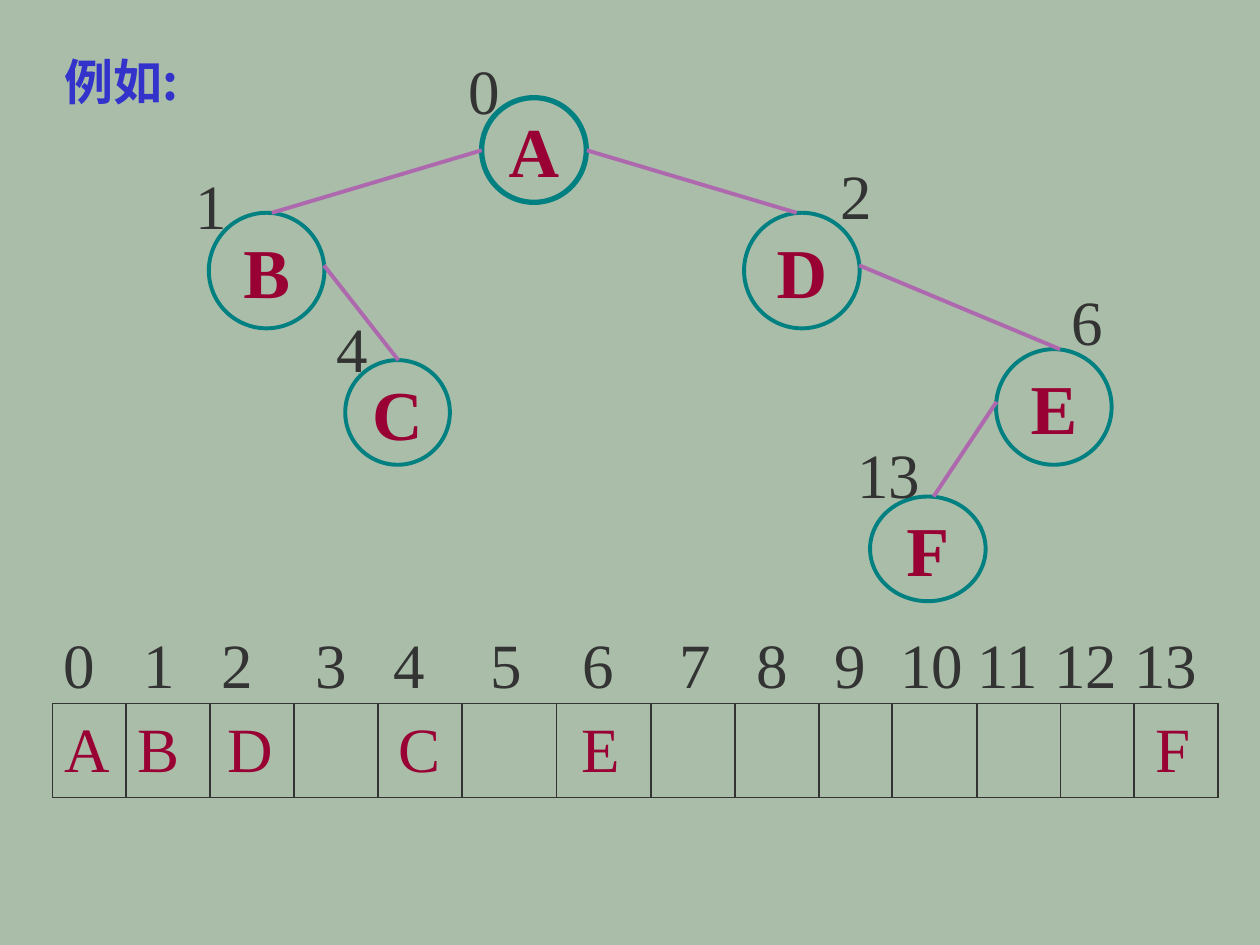
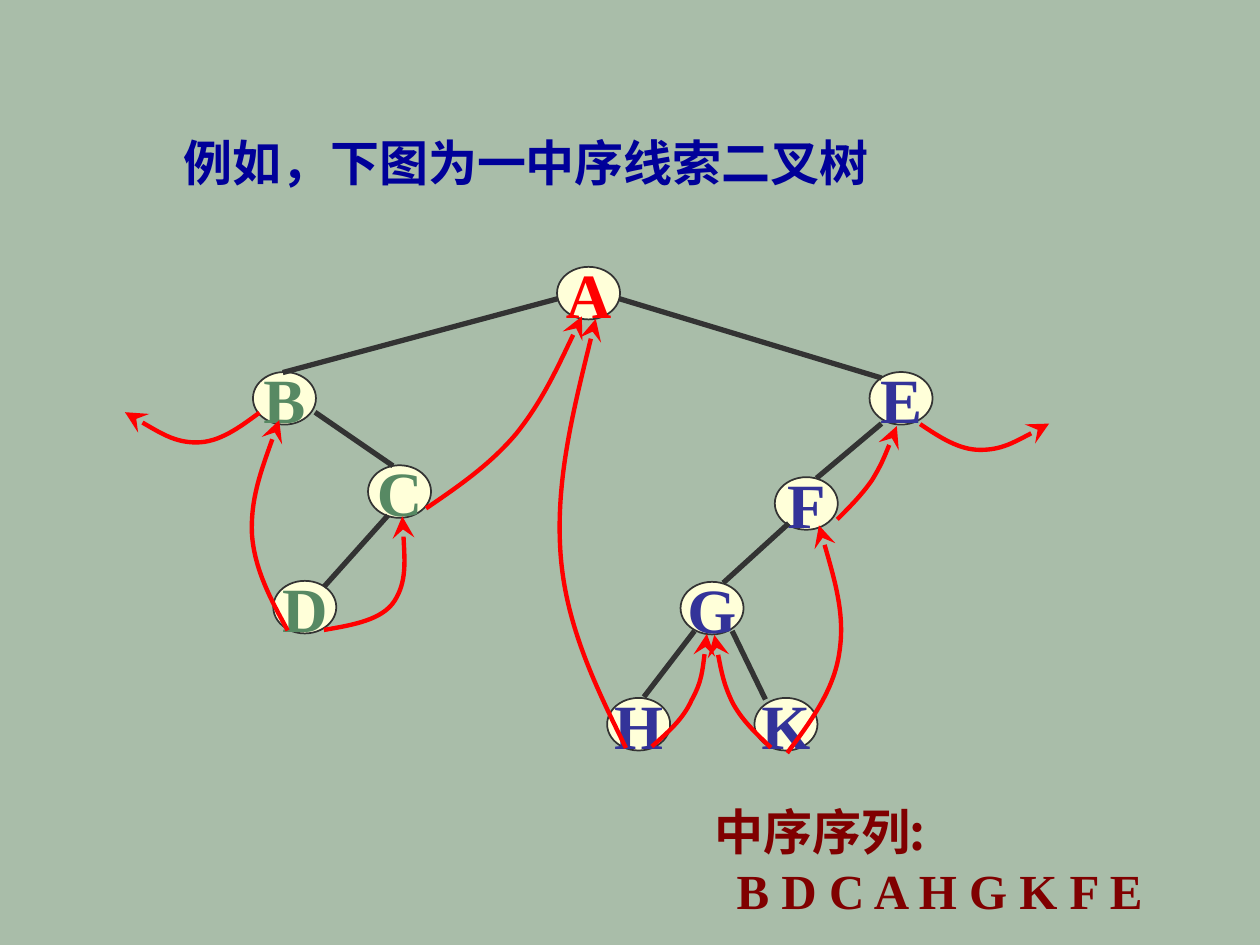
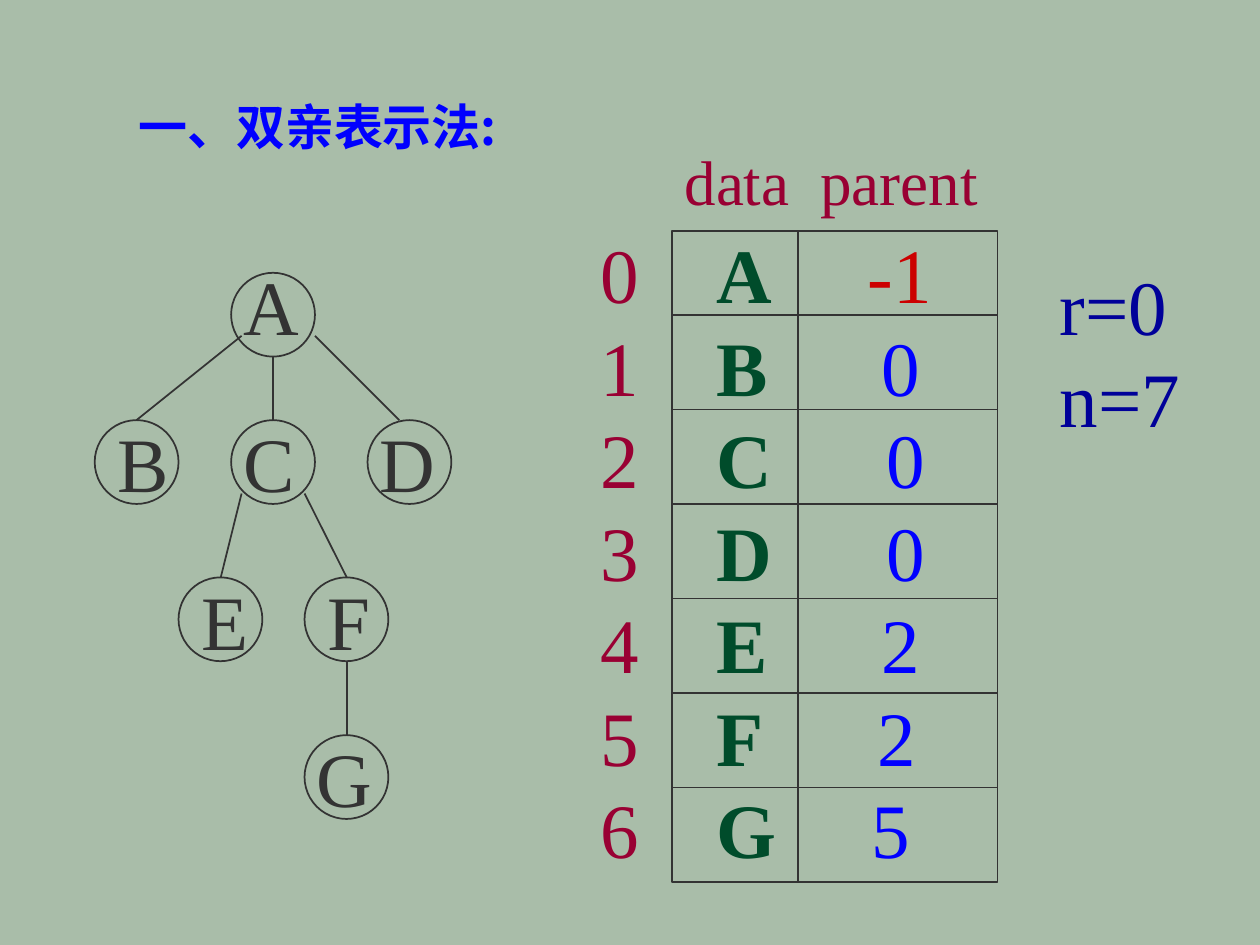
from dataclasses import dataclass
from typing import NamedTuple

import pptx
import pptx.dml.color
import pptx.enum.shapes
import pptx.enum.text
import pptx.oxml
import pptx.oxml.ns
import pptx.util

Cm = pptx.util.Cm
Pt = pptx.util.Pt
qn = pptx.oxml.ns.qn
ALIGN = pptx.enum.text.PP_ALIGN
SHAPE = pptx.enum.shapes.MSO_SHAPE

COLORS = {
    "background": "A9BDA9",
    "ink": "333333",
    "title": "3333CC",
    "navy": "000099",
    "blue": "0000FF",
    "crimson": "990033",
    "maroon": "800000",
    "teal": "008080",
    "mauve": "AE68AE",
    "cream": "FFFFD9",
    "red": "FF0000",
    "dark_red": "CC0000",
    "sage": "578963",
    "indigo": "333399",
    "forest": "004C2B",
}
SERIF = "Times New Roman"
CJK = "Noto Sans CJK SC"


@dataclass(frozen=True)
class Style:
    size: int
    color: str
    bold: bool = False
    font: str = SERIF


@dataclass(frozen=True)
class Look:
    """Outline and fill of a shape."""
    line: str
    width: float
    fill: str = ""


class Box(NamedTuple):
    x: float
    y: float
    w: float
    h: float


class Edge(NamedTuple):
    x1: float
    y1: float
    x2: float
    y2: float


class ArrayNode(NamedTuple):
    letter: str
    box: Box
    index: int
    label: Box
    tab: float
    width: float = 2.25


class ThreadNode(NamedTuple):
    letter: str
    x: float
    y: float
    color: str


class ParentNode(NamedTuple):
    letter: str
    x: float
    y: float
    letter_box: Box
    parent: int
    tab: float


def rgb(name: str):
    return pptx.dml.color.RGBColor.from_string(COLORS[name])


def set_line(line, color: str, width: float) -> None:
    line.color.rgb = rgb(color)
    line.width = Pt(width)


def format_run(r, style: Style) -> None:
    r.font.size = Pt(style.size)
    r.font.bold = style.bold
    r.font.color.rgb = rgb(style.color)
    r.font.name = style.font
    r.font._element.append(pptx.oxml.parse_xml(
        f'<a:ea {pptx.oxml.ns.nsdecls("a")} typeface="{CJK}"/>'))


def write(tf, text: str, style: Style, align=ALIGN.LEFT, spacing: float = 1.2) -> None:
    """Fill a text frame; spacing is the line height as a multiple of the size."""
    tf.text = text
    for p in tf.paragraphs:
        p.alignment = align
        p.line_spacing = Pt(round(style.size * spacing, 1))
        for r in p.runs:
            format_run(r, style)


def add_text(slide, box: Box, text: str, style: Style, wrap: bool = False,
             spacing: float = 1.2):
    sp = slide.shapes.add_textbox(*map(Cm, box))
    tf = sp.text_frame
    tf.word_wrap = wrap
    tf.auto_size = pptx.enum.text.MSO_AUTO_SIZE.SHAPE_TO_FIT_TEXT
    write(tf, text, style, spacing=spacing)
    return tf


def add_tabs(p, stops: list[tuple[float, str]]) -> None:
    tabs = "".join(f'<a:tab pos="{Cm(x)}" algn="{kind}"/>' for x, kind in stops)
    p._p.get_or_add_pPr().append(pptx.oxml.parse_xml(
        f'<a:tabLst {pptx.oxml.ns.nsdecls("a")}>{tabs}</a:tabLst>'))


def add_centered_row(slide, box: Box, words: list[str], centers: list[float],
                     style: Style) -> None:
    """Write one line with each word centred on its own tab stop."""
    tf = add_text(slide, box, "".join(f"\t{word}" for word in words), style, wrap=True)
    add_tabs(tf.paragraphs[0], [(center, "ctr") for center in centers])


def add_outline(slide, kind, box: Box, look: Look):
    sp = slide.shapes.add_shape(kind, *map(Cm, box))
    sp.shadow.inherit = False
    if look.fill:
        sp.fill.solid()
        sp.fill.fore_color.rgb = rgb(look.fill)
    else:
        sp.fill.background()
    set_line(sp.line, look.line, look.width)
    return sp


def add_node(slide, box: Box, letter: str, style: Style, look: Look) -> None:
    tf = add_outline(slide, SHAPE.OVAL, box, look).text_frame
    tf.word_wrap = False
    tf.vertical_anchor = pptx.enum.text.MSO_ANCHOR.MIDDLE
    write(tf, letter, style, ALIGN.CENTER)


def add_edges(slide, edges: list[Edge], color: str, width: float) -> None:
    for edge in edges:
        line = slide.shapes.add_connector(
            pptx.enum.shapes.MSO_CONNECTOR.STRAIGHT, *map(Cm, edge))
        set_line(line.line, color, width)
        line._element.spPr.append(pptx.oxml.parse_xml(
            f'<a:effectLst {pptx.oxml.ns.nsdecls("a")}/>'))


def add_rules(slide, box: Box, xs: list[float], ys: list[float]) -> None:
    """Draw vertical rules at xs and horizontal rules at ys across the box."""
    rules = [Edge(box.x, y, box.x + box.w, y) for y in ys]
    rules += [Edge(x, box.y, x, box.y + box.h) for x in xs]
    add_edges(slide, rules, "ink", 1)


def add_thread(slide, points: list[tuple[float, float]]) -> None:
    """Draw a curved arrow through start, control, middle, control and end."""
    start, bend_in, middle, bend_out, end = points

    def halfway(a, b):
        return (a[0] + b[0]) / 2, (a[1] + b[1]) / 2

    curve_points = [halfway(start, bend_in), bend_in, middle,
                    bend_out, halfway(bend_out, end), end]
    builder = slide.shapes.build_freeform(Cm(start[0]), Cm(start[1]))
    builder.add_line_segments([(Cm(x), Cm(y)) for x, y in curve_points], close=False)
    sp = builder.convert_to_shape()
    sp.shadow.inherit = False
    sp.fill.background()
    set_line(sp.line, "red", 2.5)
    sp.line._get_or_add_ln().append(pptx.oxml.parse_xml(
        f'<a:tailEnd {pptx.oxml.ns.nsdecls("a")} type="stealth" w="lg" len="lg"/>'))

    segments = list(sp._element.iter(qn("a:lnTo")))
    for i in range(0, len(segments), 3):
        curve = pptx.oxml.parse_xml(f'<a:cubicBezTo {pptx.oxml.ns.nsdecls("a")}/>')
        segments[i].addprevious(curve)
        for segment in segments[i:i + 3]:
            curve.append(segment[0])
            segment.getparent().remove(segment)


def build_array_slide(slide) -> None:
    nodes = [
        ArrayNode("A", Box(9.71, 1.97, 2.11, 2.11), 0, Box(9.19, 0.92, 1.14, 1.78), 0.66, 3),
        ArrayNode("B", Box(4.21, 4.29, 2.33, 2.33), 1, Box(3.7, 3.23, 1.14, 1.78), 2.11),
        ArrayNode("D", Box(15, 4.29, 2.33, 2.33), 2, Box(16.69, 3.03, 1.14, 1.78), 3.95),
        ArrayNode("C", Box(6.96, 7.26, 2.11, 2.11), 4, Box(6.53, 6.12, 1.14, 1.78), 7.37),
        ArrayNode("E", Box(20.08, 7.04, 2.33, 2.33), 6, Box(21.36, 5.57, 1.14, 1.78), 11.02),
        ArrayNode("F", Box(17.54, 10.01, 2.33, 2.11), 13, Box(17.03, 8.66, 1.78, 1.78), 22.55),
    ]
    edges = [
        Edge(9.71, 3.03, 5.48, 4.29),
        Edge(6.53, 5.35, 8.03, 7.26),
        Edge(11.83, 3.03, 16.06, 4.29),
        Edge(17.32, 5.35, 21.37, 7.04),
        Edge(20.09, 8.1, 18.82, 10.01),
    ]
    array = Box(1.06, 14.18, 23.49, 1.9)
    walls = [1.06, 2.54, 4.23, 5.93, 7.62, 9.31, 11.22, 13.12,
             14.82, 16.51, 17.99, 19.69, 21.38, 22.86, 24.55]
    index_centers = [0.5, 2.13, 3.69, 5.58, 7.17, 9.11, 10.98,
                     12.92, 14.47, 16.06, 17.69, 19.23, 20.8, 22.41]
    number = Style(36, "ink")

    add_text(slide, Box(1.06, 0.91, 3, 1.45), "例如:", Style(28, "title", True, CJK))
    for node in nodes:
        add_node(slide, node.box, node.letter, Style(40, "crimson", True),
                 Look("teal", node.width, "background"))
    add_rules(slide, array, walls, [array.y, array.y + array.h])
    add_centered_row(slide, Box(0.84, 14.17, 23.52, 1.78), [node.letter for node in nodes],
                     [node.tab for node in nodes], Style(36, "crimson"))
    add_centered_row(slide, Box(0.84, 12.49, 23.57, 1.78),
                     [str(i) for i in range(len(index_centers))], index_centers, number)
    add_edges(slide, edges, "mauve", 2.25)
    for node in nodes:
        add_text(slide, node.label, str(node.index), number)


def build_thread_slide(slide) -> None:
    nodes = [
        ThreadNode("A", 11.23, 5.38, "red"),
        ThreadNode("B", 5.1, 7.5, "sage"),
        ThreadNode("C", 7.42, 9.38, "sage"),
        ThreadNode("D", 5.51, 11.71, "sage"),
        ThreadNode("E", 17.53, 7.5, "indigo"),
        ThreadNode("F", 15.62, 9.62, "indigo"),
        ThreadNode("G", 13.72, 11.73, "indigo"),
        ThreadNode("H", 12.24, 14.07, "indigo"),
        ThreadNode("K", 15.21, 14.07, "indigo"),
    ]
    edges = [
        Edge(11.25, 6.02, 5.7, 7.51),
        Edge(6.35, 8.31, 7.92, 9.39),
        Edge(7.82, 10.39, 6.53, 11.83),
        Edge(12.48, 6.02, 17.77, 7.62),
        Edge(17.77, 8.54, 16.46, 9.64),
        Edge(15.9, 10.55, 14.58, 11.75),
        Edge(14, 12.72, 12.98, 14.05),
        Edge(14.76, 12.72, 15.43, 14.1),
    ]
    threads = [
        [(5.23, 8.32), (4.42, 8.92), (3.96, 8.92), (3.53, 8.92), (2.52, 8.31)],
        [(5.8, 12.71), (5.13, 11.48), (5.08, 10.77), (5.05, 10.06), (5.63, 8.47)],
        [(6.53, 12.7), (7.7, 12.5), (7.95, 12.12), (8.2, 11.73), (8.11, 10.41)],
        [(8.59, 10.25), (9.88, 9.37), (10.41, 8.74), (10.92, 8.1), (11.73, 6.38)],
        [(12.62, 15.08), (11.4, 12.6), (11.3, 11.15), (11.2, 9.7), (12.01, 6.43)],
        [(13.14, 15.05), (13.77, 14.5), (13.94, 14.12), (14.15, 13.74), (14.25, 12.78)],
        [(15.54, 15.07), (14.94, 14.5), (14.76, 14.15), (14.58, 13.77), (14.4, 12.8)],
        [(15.87, 15.18), (16.81, 13.92), (16.92, 13.16), (17.04, 12.4), (16.51, 10.59)],
        [(16.88, 10.47), (17.37, 9.98), (17.58, 9.68), (17.78, 9.35), (18.08, 8.59)],
        [(18.55, 8.55), (19.33, 9.07), (19.76, 9.07), (20.19, 9.07), (21.15, 8.54)],
    ]

    tf = add_text(slide, Box(0.89, 2.31, 20.19, 1.68), "例如，下图为一中序线索二叉树",
                  Style(28, "navy", True), wrap=True, spacing=1.45)
    tf.margin_left = Cm(2.81)
    for node in nodes:
        add_node(slide, Box(node.x, node.y, 1.27, 1.06), node.letter,
                 Style(36, node.color, True), Look("ink", 1, "cream"))
    add_edges(slide, edges, "ink", 3)

    tf = add_text(slide, Box(14.15, 16.03, 9.86, 2.62), "中序序列:\nB D C A H G K F E",
                  Style(28, "maroon", True), wrap=True)
    heading, sequence = tf.paragraphs
    heading.runs[0].font.name = CJK
    sequence._p.get_or_add_pPr().set("marL", str(Cm(0.45)))
    for points in threads:
        add_thread(slide, points)


def build_parent_slide(slide) -> None:
    nodes = [
        ParentNode("A", 4.66, 5.5, Box(4.66, 5.08, 1.63, 2.11), -1, 6.03),
        ParentNode("B", 1.91, 8.47, Box(2.12, 8.26, 1.55, 2.11), 0, 6.05),
        ParentNode("C", 4.66, 8.47, Box(4.66, 8.26, 1.55, 2.11), 0, 6.15),
        ParentNode("D", 7.41, 8.47, Box(7.41, 8.26, 1.63, 2.11), 0, 6.15),
        ParentNode("E", 3.6, 11.64, Box(3.81, 11.43, 1.45, 2.11), 2, 6.05),
        ParentNode("F", 6.14, 11.64, Box(6.35, 11.43, 1.37, 2.11), 2, 5.97),
        ParentNode("G", 6.14, 14.82, Box(6.14, 14.61, 1.63, 2.11), 5, 5.85),
    ]
    edges = [
        Edge(5.5, 7.19, 5.5, 8.47),
        Edge(6.35, 6.77, 8.05, 8.47),
        Edge(4.87, 6.77, 2.75, 8.47),
        Edge(4.87, 9.95, 4.45, 11.64),
        Edge(6.14, 9.95, 6.99, 11.64),
        Edge(6.99, 13.33, 6.99, 14.82),
    ]
    grid = Box(13.55, 4.66, 6.56, 13.12)
    first_rule, row_height = 6.35, 1.905
    diameter = 1.69
    thin = Look("ink", 1)

    add_text(slide, Box(2.54, 1.83, 7.95, 1.45), "一、双亲表示法:",
             Style(28, "blue", True, CJK))
    for node in nodes:
        add_outline(slide, SHAPE.OVAL, Box(node.x, node.y, diameter, diameter), thin)
        add_text(slide, node.letter_box, node.letter, Style(44, "ink"))
    add_edges(slide, edges, "ink", 1)

    tf = add_text(slide, Box(11.86, 4.45, 7.44, 13.41), "\n".join("" for _ in nodes),
                  Style(44, "crimson"), wrap=True)
    for row, (p, node) in enumerate(zip(tf.paragraphs, nodes)):
        add_tabs(p, [(2.33, "l"), (node.tab, "ctr")])
        cells = [
            (str(row), Style(44, "crimson")),
            (f"\t{node.letter}", Style(44, "forest", True)),
            (f"\t{node.parent}", Style(44, "dark_red" if node.parent < 0 else "blue")),
        ]
        for text, style in cells:
            r = p.add_run()
            r.text = text
            format_run(r, style)

    add_text(slide, Box(21.11, 5.08, 2.95, 3.99), "r=0\nn=7", Style(44, "navy"))
    add_outline(slide, SHAPE.RECTANGLE, grid, thin)
    add_rules(slide, grid, [16.09],
              [first_rule + row_height * i for i in range(len(nodes) - 1)])
    tf = add_text(slide, Box(13.55, 2.74, 6.93, 1.78), "data\tparent",
                  Style(36, "crimson"), wrap=True)
    add_tabs(tf.paragraphs[0], [(2.74, "l")])


def main() -> None:
    prs = pptx.Presentation()
    prs.slide_width, prs.slide_height = Cm(25.4), Cm(19.05)
    background = prs.slide_master.background.fill
    background.solid()
    background.fore_color.rgb = rgb("background")
    for build in (build_array_slide, build_thread_slide, build_parent_slide):
        build(prs.slides.add_slide(prs.slide_layouts[6]))
    prs.save("out.pptx")


if __name__ == "__main__":
    main()
